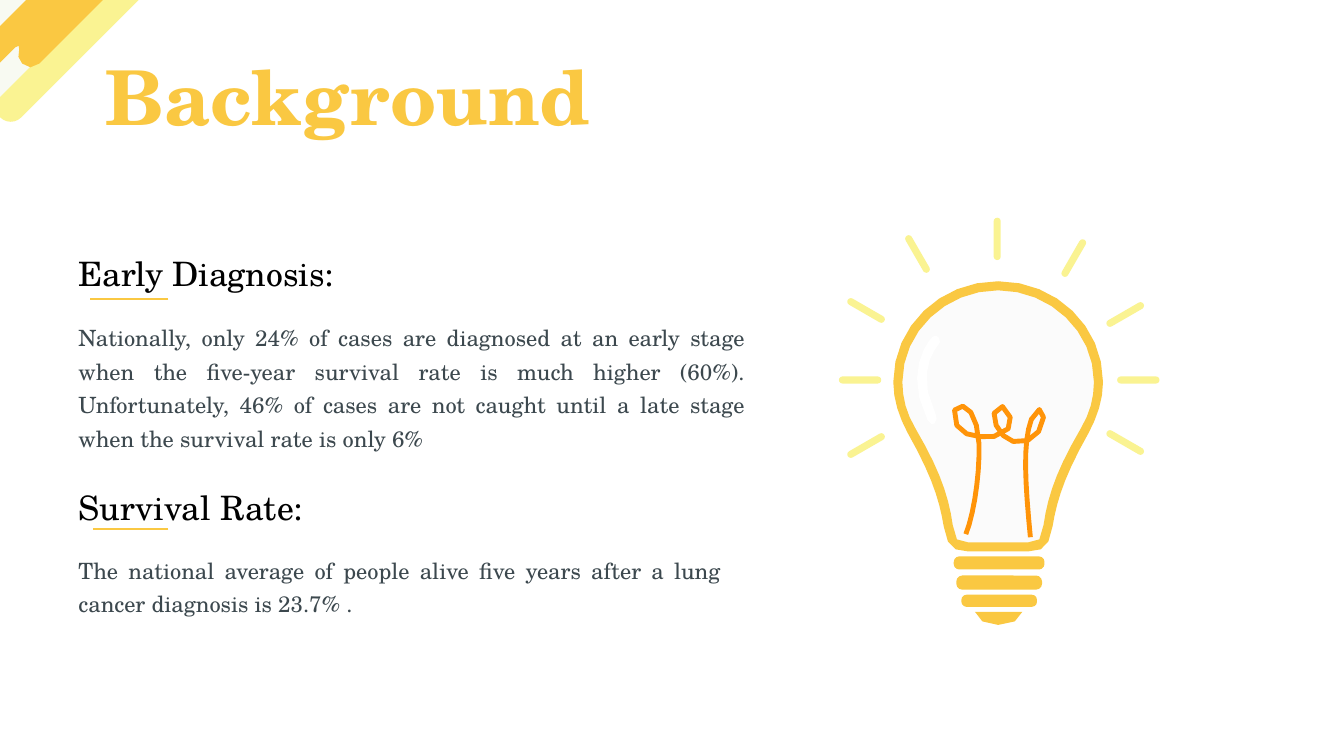
from math import ceil, dist

from lxml.etree import SubElement
from pptx import Presentation
from pptx.dml.color import RGBColor
from pptx.enum.shapes import MSO_CONNECTOR, MSO_SHAPE
from pptx.enum.text import MSO_AUTO_SIZE, PP_ALIGN
from pptx.oxml.ns import qn
from pptx.util import Inches, Pt

GOLD = RGBColor(0xFA, 0xC8, 0x42)
LEMON = RGBColor(0xFA, 0xF3, 0x92)
ORANGE = RGBColor(0xFF, 0x94, 0x09)
IVORY = RGBColor(0xF8, 0xFA, 0xF2)
GLASS = RGBColor(0xF2, 0xF2, 0xF2)
WHITE = RGBColor(0xFF, 0xFF, 0xFF)
BLACK = RGBColor(0, 0, 0)
SLATE = RGBColor(0x3C, 0x48, 0x4E)

BULB_AXIS = 9.9

TITLE_FORMAT = {"size": Pt(54), "bold": True}
HEADING_FORMAT = {"size": Pt(24)}
BODY_FORMAT = {"size": Pt(16)}
BODY_PARAGRAPH = {"alignment": PP_ALIGN.JUSTIFY, "line_spacing": 1.25}
FRAME_FORMAT = {"word_wrap": True, "auto_size": MSO_AUTO_SIZE.SHAPE_TO_FIT_TEXT}

SECTIONS = [
    ("Early Diagnosis:", 2.46, 3.43,
     "Nationally, only 24% of cases are diagnosed at an early stage when the "
     "five-year survival rate is much higher (60%). Unfortunately, 46% of cases "
     "are not caught until a late stage when the survival rate is only 6%",
     3.1, 6.81, 1.38, 0.89, 2.97),
    ("Survival Rate:", 4.78, 3.31,
     "The national average of people alive five years after a lung cancer "
     "diagnosis is 23.7% .",
     5.41, 6.57, 0.71, 0.92, 5.25),
]

RAYS = [(8.53, 3.77, 0), (8.59, 3.08, 30), (9.1, 2.52, 60), (9.89, 2.37, 90),
        (10.65, 2.56, -60), (11.16, 3.12, -30), (11.29, 3.77, 0),
        (11.16, 4.39, 30), (8.59, 4.42, -30)]
SOCKET_RINGS = [(5.52, 0.9, 0.13), (5.71, 0.85, 0.14), (5.9, 0.75, 0.12)]

PALE_STRIPES = [
    (1.38, -0.98), (1.31, -0.98, 1.23, -0.95, 1.18, -0.9), (0.72, -0.45),
    (0.67, -0.42), (0.63, -0.51),
    (0.66, -0.61, 0.64, -0.73, 0.56, -0.81), (0.45, -0.92, 0.26, -0.92, 0.15, -0.81),
    (-1.63, 0.98), (-1.75, 1.1, -1.75, 1.27, -1.63, 1.39),
    (-1.52, 1.5, -1.33, 1.5, -1.22, 1.39), (-0.76, 0.92),
    (-0.7, 0.89), (-0.67, 0.97), (-0.71, 1.08, -0.69, 1.21, -0.61, 1.3),
    (-0.5, 1.41, -0.31, 1.41, -0.2, 1.3), (1.58, -0.49),
    (1.7, -0.61, 1.7, -0.78, 1.58, -0.9), (1.53, -0.95, 1.45, -0.98, 1.38, -0.98)]
GOLD_STRIPES = [
    (1.17, -0.33), (1.12, -0.38, 1.04, -0.38, 0.99, -0.33), (0.79, -0.13),
    (0.76, -0.1, 0.74, -0.13, 0.75, -0.16), (0.77, -0.2, 0.76, -0.25, 0.72, -0.29),
    (0.67, -0.34, 0.6, -0.34, 0.55, -0.29), (-0.23, 0.49),
    (-0.28, 0.54, -0.28, 0.62, -0.23, 0.67), (-0.18, 0.72, -0.1, 0.72, -0.05, 0.67),
    (0.15, 0.47), (0.18, 0.43, 0.2, 0.46, 0.19, 0.49),
    (0.17, 0.54, 0.18, 0.59, 0.22, 0.63), (0.26, 0.68, 0.34, 0.68, 0.39, 0.63),
    (1.17, -0.15), (1.22, -0.2, 1.22, -0.28, 1.17, -0.33)]
BULB_GLASS = [
    (9.21, 3.12), (9.21, 3.12, 9.49, 2.85, 9.87, 2.83),
    (9.87, 2.83, 10.52, 2.76, 10.86, 3.41), (10.86, 3.41, 10.92, 3.88, 10.86, 4.1),
    (10.58, 4.7), (10.4, 5.19), (10.4, 5.19, 10.38, 5.42, 10.28, 5.42), (9.57, 5.42),
    (9.57, 5.42, 9.44, 5.42, 9.44, 5.23), (9.21, 4.62),
    (9.21, 4.62, 8.93, 4.05, 8.93, 3.87), (8.93, 3.87, 8.82, 3.54, 9.21, 3.12)]
OUTER_HALF = [
    (9.9, 2.79), (10.48, 2.79, 10.94, 3.24, 10.94, 3.79),
    (10.94, 3.97, 10.88, 4.14, 10.8, 4.29), (10.55, 4.73, 10.48, 4.98, 10.44, 5.22),
    (10.41, 5.42, 10.35, 5.47, 10.2, 5.47)]
INNER_HALF = [
    (9.9, 2.88), (10.42, 2.88, 10.85, 3.29, 10.85, 3.79),
    (10.85, 3.95, 10.81, 4.1, 10.72, 4.25), (10.47, 4.68, 10.39, 4.93, 10.35, 5.21),
    (10.33, 5.36, 10.31, 5.38, 10.2, 5.38)]
SOCKET_TIP = [(9.67, 6.07), (10.14, 6.07), (10.14, 6.15, 10.02, 6.2, 9.9, 6.2),
              (9.79, 6.2, 9.67, 6.15, 9.67, 6.07)]
FILAMENT = [
    (9.58, 5.3), (9.66, 5.1, 9.72, 4.7, 9.71, 4.4), (9.7, 4.2, 9.64, 4.05, 9.55, 4.03),
    (9.47, 4.01, 9.43, 4.09, 9.49, 4.22), (9.56, 4.34, 9.73, 4.34, 9.86, 4.33),
    (10, 4.3, 10.04, 4.22, 10.02, 4.14), (10.01, 4.02, 9.88, 3.99, 9.86, 4.1),
    (9.85, 4.22, 9.94, 4.35, 10.05, 4.38), (10.2, 4.42, 10.34, 4.3, 10.35, 4.14),
    (10.35, 4.03, 10.28, 4.04, 10.23, 4.16), (10.14, 4.4, 10.17, 4.8, 10.22, 5.33)]
HIGHLIGHT = [
    (9.3, 3.43), (9.27, 3.47, 9.08, 3.7, 9.28, 4.11), (9.3, 4.14, 9.29, 4.17, 9.27, 4.2),
    (9.24, 4.21), (9.2, 4.17), (8.96, 3.69, 9.2, 3.39, 9.25, 3.34),
    (9.27, 3.32, 9.3, 3.33, 9.31, 3.35), (9.33, 3.37, 9.33, 3.42, 9.3, 3.43)]


def set_attributes(target, values):
    for name, value in values.items():
        setattr(target, name, value)


def paint(shape, color):
    shape.shadow.inherit = False
    shape.fill.solid()
    shape.fill.fore_color.rgb = color
    shape.line.fill.background()


def trace(outline):
    points = [outline[0]]
    for segment in outline[1:]:
        if len(segment) == 2:
            points.append(segment)
            continue
        knots = [points[-1], segment[:2], segment[2:4], segment[4:]]
        steps = min(8, max(2, ceil(dist(knots[0], knots[3]) / 0.15)))
        for step in range(1, steps + 1):
            t = step / steps
            weights = ((1 - t) ** 3, 3 * t * (1 - t) ** 2, 3 * t * t * (1 - t), t ** 3)
            points.append(tuple(sum(weight * knot[axis] for weight, knot in zip(weights, knots))
                                for axis in (0, 1)))
    return points


def mirror(half):
    points = trace(half)
    return points + [(2 * BULB_AXIS - x, y) for x, y in reversed(points)]


def build_outline(slide, contours, close=True):
    contours = [[(Inches(x), Inches(y)) for x, y in contour] for contour in contours]
    builder = slide.shapes.build_freeform(*contours[0][0])
    builder.add_line_segments(contours[0][1:], close=close)
    for contour in contours[1:]:
        builder.move_to(*contour[0])
        builder.add_line_segments(contour[1:], close=close)
    return builder.convert_to_shape()


def add_outline(slide, color, *contours):
    shape = build_outline(slide, contours)
    paint(shape, color)
    return shape


def add_stroke(slide, color, width, points):
    shape = build_outline(slide, [points], close=False)
    shape.shadow.inherit = False
    shape.fill.background()
    shape.line.color.rgb = color
    shape.line.width = Pt(width)


def add_bar(slide, color, center_x, center_y, width, height, rotation=0, rounding=0.5):
    shape = slide.shapes.add_shape(
        MSO_SHAPE.ROUNDED_RECTANGLE, Inches(center_x - width / 2),
        Inches(center_y - height / 2), Inches(width), Inches(height))
    shape.adjustments[0] = rounding
    shape.rotation = rotation
    paint(shape, color)


def add_text(slide, text, left, top, width, height, color, font_format, paragraph_format={}):
    box = slide.shapes.add_textbox(Inches(left), Inches(top), Inches(width), Inches(height))
    set_attributes(box.text_frame, FRAME_FORMAT)
    paragraph = box.text_frame.paragraphs[0]
    set_attributes(paragraph, paragraph_format)
    run = paragraph.add_run()
    run.text = text
    set_attributes(run.font, {"name": "TeX Gyre Schola", **font_format})
    run.font.color.rgb = color


def add_underline(slide, left, top):
    connector = slide.shapes.add_connector(
        MSO_CONNECTOR.STRAIGHT, Inches(1.67), Inches(top), Inches(left), Inches(top))
    connector.line.color.rgb = GOLD
    connector.line.width = Pt(1.5)
    SubElement(connector._element.spPr, qn("a:effectLst"))


def add_corner(slide):
    add_outline(slide, IVORY, trace(PALE_STRIPES))
    add_bar(slide, LEMON, 0.75, 0.42, 2.11, 0.29, -45)
    add_outline(slide, GOLD, trace(GOLD_STRIPES))


def add_bulb(slide):
    glass = add_outline(slide, GLASS, trace(BULB_GLASS))
    color = glass._element.spPr.find(qn("a:solidFill")).find(qn("a:srgbClr"))
    SubElement(color, qn("a:alpha"), val="30000")
    add_outline(slide, GOLD, mirror(OUTER_HALF), mirror(INNER_HALF))
    for top, width, height in SOCKET_RINGS:
        add_bar(slide, GOLD, BULB_AXIS + 0.01, top + height / 2, width, height, rounding=0.42)
    add_outline(slide, GOLD, trace(SOCKET_TIP))
    add_stroke(slide, ORANGE, 3.5, trace(FILAMENT))
    for center_x, center_y, angle in RAYS:
        add_bar(slide, LEMON, center_x, center_y, 0.42, 0.07, angle)
    add_outline(slide, WHITE, trace(HIGHLIGHT))


def main():
    presentation = Presentation()
    set_attributes(presentation, {"slide_width": Inches(13.33), "slide_height": Inches(7.5)})
    slide = presentation.slides.add_slide(presentation.slide_layouts[6])
    add_corner(slide)
    add_bulb(slide)
    for (heading, heading_top, heading_width, body, body_top, body_width, body_height,
         underline_left, underline_top) in SECTIONS:
        add_text(slide, heading, 0.68, heading_top, heading_width, 0.5, BLACK, HEADING_FORMAT)
        add_text(slide, body, 0.68, body_top, body_width, body_height, SLATE,
                 BODY_FORMAT, BODY_PARAGRAPH)
        add_underline(slide, underline_left, underline_top)
    add_text(slide, "Background", 0.95, 0.45, 5.28, 1.01, GOLD, TITLE_FORMAT)
    presentation.save("out.pptx")


if __name__ == "__main__":
    main()
